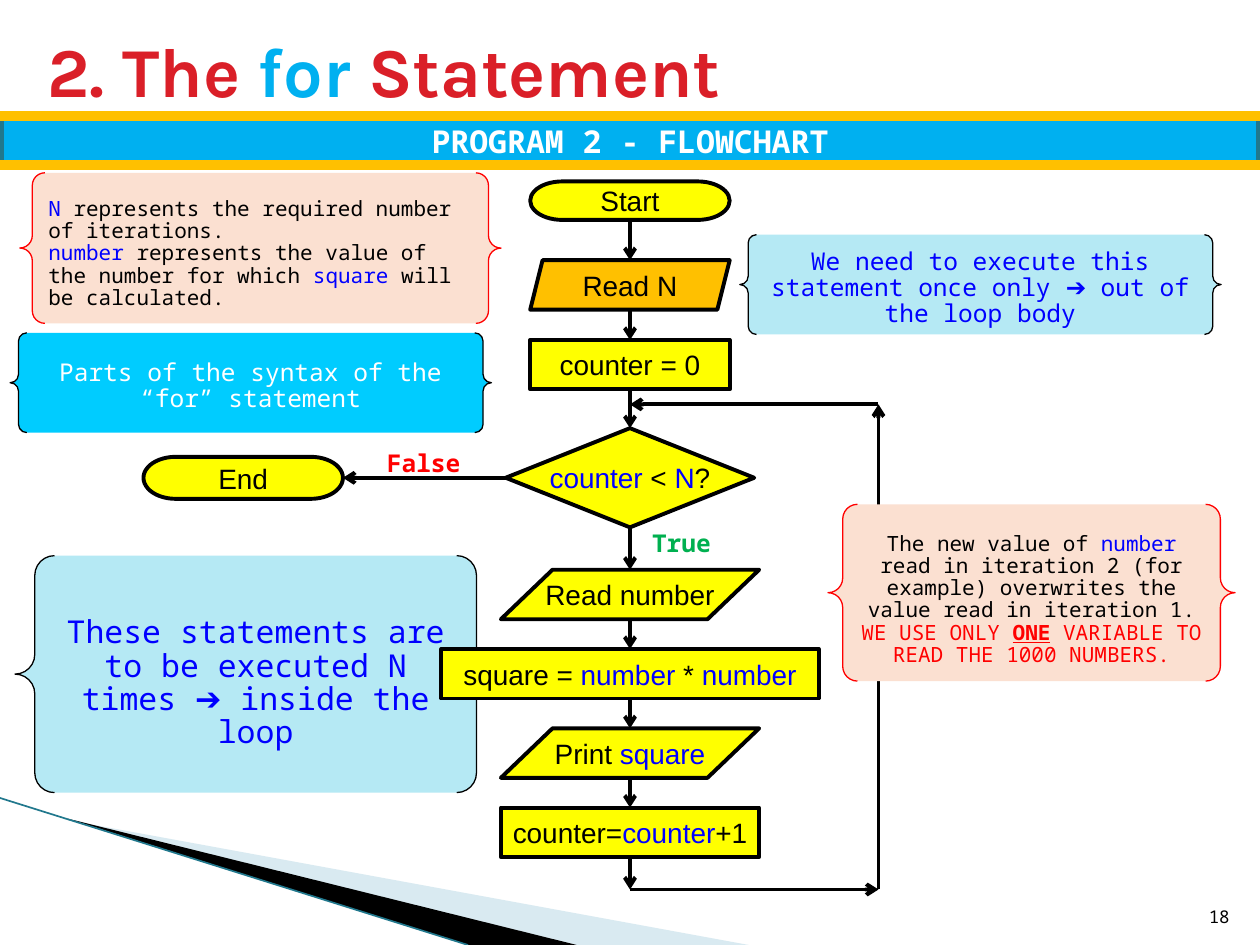
from pptx import Presentation
from pptx.dml.color import RGBColor
from pptx.enum.shapes import MSO_CONNECTOR as Connector, MSO_SHAPE as Shape
from pptx.enum.text import MSO_ANCHOR as Anchor, PP_ALIGN as Align
from pptx.oxml.ns import qn
from pptx.util import Pt
from lxml.etree import SubElement

MONO, SANS, TITLE = "Noto Sans Mono", "Arial", "Karla"
BLACK, WHITE, BLUE, RED = "000000", "FFFFFF", "0000FF", "FF0000"
YELLOW, GOLD, SKY, PALE, PINK = "FFFF00", "FFC000", "00B0F0", "B5E9F4", "FBE0D1"
FOUR_SIDED = (Shape.RECTANGLE, Shape.FLOWCHART_TERMINATOR, Shape.FLOWCHART_DECISION)
TOP, LEFT, BOTTOM, RIGHT = range(4)


def color(value):
    return RGBColor.from_string(value)


def write(shape, paragraphs, font, size, align=Align.CENTER, anchor=Anchor.MIDDLE,
          wrap=True, bold=False, spacing=None):
    frame = shape.text_frame
    frame.word_wrap = wrap
    frame.vertical_anchor = anchor
    for index, runs in enumerate(paragraphs):
        paragraph = frame.add_paragraph() if index else frame.paragraphs[0]
        paragraph.alignment = align
        if spacing:
            paragraph.line_spacing = spacing
        for text, ink, *emphasis in runs:
            run = paragraph.add_run()
            run.text = text
            run.font.name, run.font.size = font, Pt(size)
            run.font.color.rgb = color(ink)
            run.font.bold = bold or bool(emphasis)
            run.font.underline = bool(emphasis)


def add_box(slide, kind, box, fill, line, width):
    shape = slide.shapes.add_shape(kind, *map(Pt, box))
    shape.shadow.inherit = False
    shape.fill.solid()
    shape.fill.fore_color.rgb = color(fill)
    shape.line.color.rgb = color(line)
    shape.line.width = Pt(width)
    return shape


def add_label(slide, box, runs, font, size, **options):
    write(slide.shapes.add_textbox(*map(Pt, box)), [runs], font, size, **options)


def add_line(slide, start, end, ink=BLACK, width=2.25, arrow=False):
    line = slide.shapes.add_connector(Connector.STRAIGHT, *map(Pt, start + end))
    line.line.color.rgb = color(ink)
    line.line.width = Pt(width)
    if arrow:
        SubElement(line.line._get_or_add_ln(), qn("a:tailEnd"), type="arrow")
    SubElement(line._element.spPr, qn("a:effectLst"))
    return line


def add_swoosh(slide, left, top, width, height):
    def at(x, y):
        return Pt(left + x * width), Pt(top + y * height)

    wedges = [("A0CBDC", 40, [(0.09, 0.15), (1, 1), (0.77, 1)]),
              (BLACK, 100, [(0.09, 0.14), (0.77, 1), (0.625, 1)])]
    for fill, opacity, points in wedges:
        builder = slide.shapes.build_freeform(*at(*points[0]), scale=1)
        builder.add_line_segments([at(*point) for point in points[1:]])
        wedge = builder.convert_to_shape()
        wedge.shadow.inherit = False
        wedge.fill.solid()
        wedge.fill.fore_color.rgb = color(fill)
        wedge.line.fill.background()
        if opacity < 100:
            tint = wedge._element.spPr.find(".//" + qn("a:srgbClr"))
            SubElement(tint, qn("a:alpha"), val=str(opacity * 1000))
    add_line(slide, (left, top), (left + 0.625 * width, top + height), "21788D", 0.95)


def add_header(slide, left, top, width, height):
    add_label(slide, (left + 20, top, 642, 61),
              [("2. The ", "DA1F28"), ("for ", SKY), ("Statement", "DA1F28")],
              TITLE, 40, align=Align.LEFT, bold=True)
    band_top, bottom = top + height - 28, top + height
    band = add_box(slide, Shape.RECTANGLE, (left, band_top, width, 28), SKY, "21788D", 4.33)
    write(band, [[("PROGRAM 2 - FLOWCHART", WHITE)]], MONO, 18, bold=True)
    for y in (band_top, bottom):
        add_line(slide, (left, y), (left + width, y), GOLD, 6)


def add_note(slide, box, paragraphs, size, fill, line=BLACK, align=Align.CENTER):
    note = add_box(slide, Shape.DOUBLE_BRACE, box, fill, line, 0.75)
    write(note, paragraphs, MONO, size, align=align, spacing=0.88)


def add_step(slide, kind, box, runs, fill=YELLOW):
    step = add_box(slide, kind, box, fill, BLACK, 2.25)
    write(step, [runs], SANS, 16, wrap=False)
    return step


def add_arrow(slide, start, end, source=None, target=None, sides=(BOTTOM, TOP)):
    arrow = add_line(slide, start, end, arrow=True)
    if source and source.auto_shape_type in FOUR_SIDED:
        arrow.begin_connect(source, sides[0])
    if target and target.auto_shape_type in FOUR_SIDED:
        arrow.end_connect(target, sides[1])


def add_flowchart(slide, left, top, width, height):
    center, right, bottom = left + 278, left + width, top + height
    data, process = Shape.FLOWCHART_DATA, Shape.RECTANGLE
    rows = [
        (Shape.FLOWCHART_TERMINATOR, 0, 114, 22, [("Start", BLACK)], YELLOW),
        (Shape.PARALLELOGRAM, 45, 114, 28.3, [("Read N", BLACK)], GOLD),
        (process, 90.6, 114, 28.3, [("counter = 0", BLACK)], YELLOW),
        (Shape.FLOWCHART_DECISION, 141, 142, 56.7,
         [("counter ", BLUE), ("< ", BLACK), ("N", BLUE), ("?", BLACK)], YELLOW),
        (data, 221.9, 147.6, 28.3, [("Read number", BLACK)], YELLOW),
        (process, 267.2, 215.6, 28.3,
         [("square = ", BLACK), ("number", BLUE), (" * ", BLACK), ("number", BLUE)], YELLOW),
        (data, 312.5, 147.6, 28.3, [("Print ", BLACK), ("square", BLUE)], YELLOW),
        (process, 357.8, 147.6, 28.3,
         [("counter=", BLACK), ("counter", BLUE), ("+1", BLACK)], YELLOW),
    ]
    steps, previous_bottom = [], top
    for kind, offset, step_width, step_height, runs, fill in rows:
        y = top + offset
        step = add_step(slide, kind, (center - step_width / 2, y, step_width, step_height),
                        runs, fill)
        if steps:
            add_arrow(slide, (center, previous_bottom), (center, y), steps[-1], step)
        steps.append(step)
        previous_bottom = y + step_height

    decision, middle = steps[3], top + 169.35
    end = add_step(slide, Shape.FLOWCHART_TERMINATOR, (left, middle - 12, 114, 24),
                   [("End", BLACK)])
    add_arrow(slide, (center - 71, middle), (left + 114, middle), decision, end, (LEFT, RIGHT))
    add_label(slide, (left + 132, top + 149, 57, 24.5), [("False", RED)], MONO, 14,
              align=Align.LEFT, anchor=Anchor.TOP, bold=True)
    add_label(slide, (center + 5.5, top + 194.5, 57, 24.5), [("True", "00B050")], MONO, 14,
              align=Align.LEFT, anchor=Anchor.TOP, bold=True)

    add_arrow(slide, (center, previous_bottom), (center, bottom), steps[-1])
    loop_top = top + 127.4
    corners = [(center, bottom), (right, bottom), (right, loop_top), (center, loop_top)]
    for start, finish in zip(corners, corners[1:]):
        add_arrow(slide, start, finish)


def add_notes(slide, left, top, width, height):
    right = left + width
    add_note(slide, (left + 5.5, top, 275, 86),
             [[("N ", BLUE), ("represents the required number of iterations.", BLACK)],
              [("number", BLUE), (" represents the value of the number for which ", BLACK),
               ("square ", BLUE), ("will be calculated.", BLACK)]],
             12, PINK, RED, Align.LEFT)
    add_note(slide, (left, top + 91.4, 275, 57),
             [[("Parts of the syntax of the “for” statement", WHITE)]], 14, "00CCFF")
    add_note(slide, (right - 283, top + 35.3, 275, 57),
             [[("We need to execute this statement once only ➔ out of the loop body", BLUE)]],
             14, PALE)
    add_note(slide, (right - 232.6, top + 189.4, 232.6, 101),
             [[("The new value of ", BLACK), ("number ", BLUE),
               ("read in iteration 2 (for example) overwrites the value read in iteration 1. ",
                BLACK),
               ("WE USE ONLY ", RED), ("ONE", RED, "strong"),
               (" VARIABLE TO READ THE 1000 NUMBERS.", RED)]], 12, PINK, RED)


def build():
    presentation = Presentation()
    presentation.slide_width, presentation.slide_height = Pt(720), Pt(540)
    slide = presentation.slides.add_slide(presentation.slide_layouts[6])
    add_swoosh(slide, 0, 456, 428, 84)
    add_note(slide, (8.6, 317.5, 275, 135.4),
             [[("These statements are to be executed N times ➔ inside the loop", BLUE)]],
             18, PALE)
    add_header(slide, 0, 9.4, 720, 85)
    add_flowchart(slide, 82, 103.7, 420, 404.6)
    add_notes(slide, 5.8, 98.8, 700, 291)
    add_label(slide, (681, 504.7, 28.8, 28.8), [("18", BLACK)], MONO, 10,
              align=Align.RIGHT, anchor=Anchor.BOTTOM)
    presentation.save("out.pptx")


if __name__ == "__main__":
    build()
